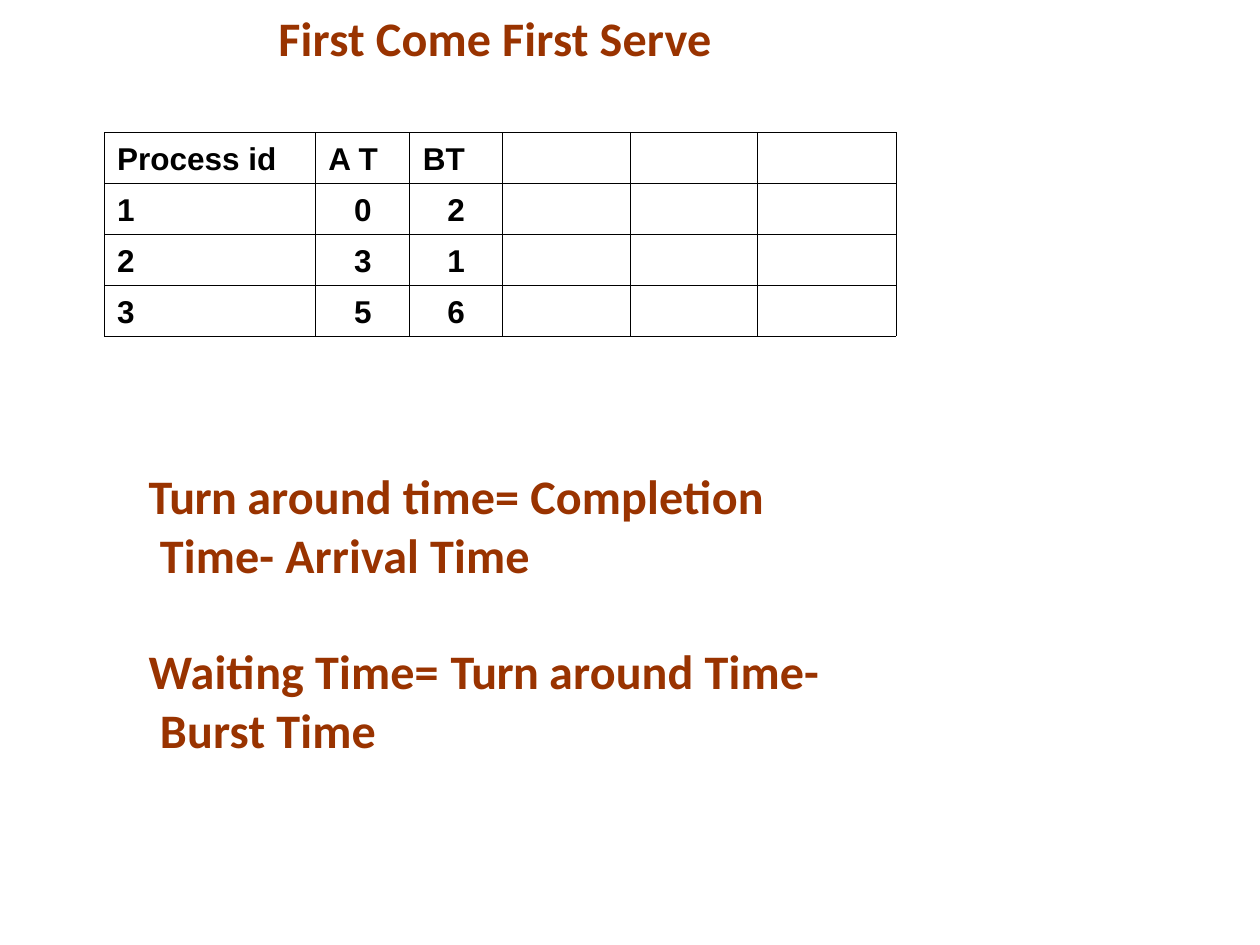
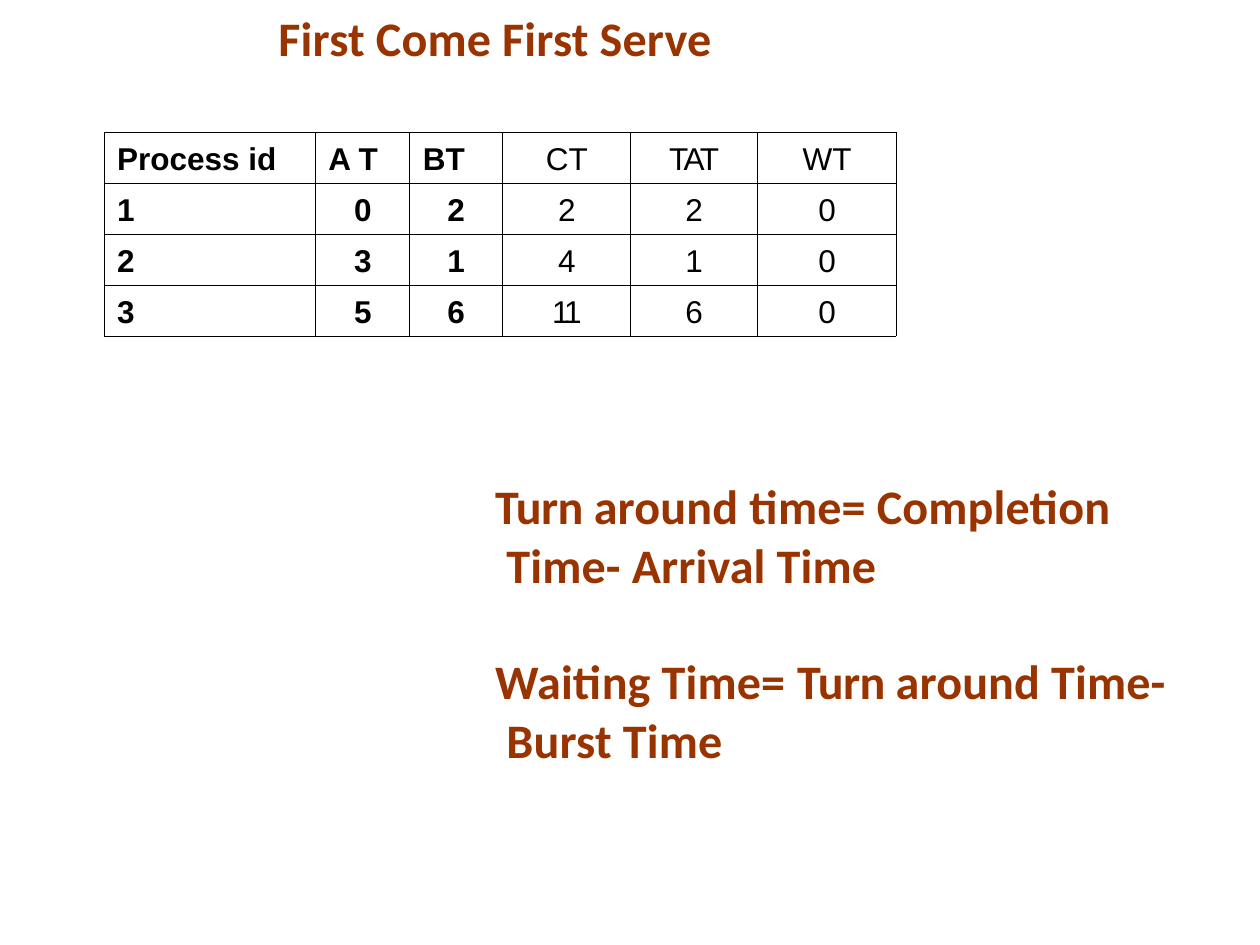
from dataclasses import dataclass

from lxml.etree import SubElement
from pptx import Presentation
from pptx.dml.color import RGBColor
from pptx.enum.text import MSO_ANCHOR, MSO_AUTO_SIZE, PP_ALIGN
from pptx.oxml.ns import qn
from pptx.util import Inches, Pt


@dataclass(frozen=True)
class Theme:
    accent: RGBColor = RGBColor(0x99, 0x33, 0x00)
    ink: RGBColor = RGBColor(0, 0, 0)
    page: RGBColor = RGBColor(0xFF, 0xFF, 0xFF)
    heading_font: str = "Calibri"
    table_font: str = "Arial"
    heading_size: float = 27.5
    table_size: float = 18
    border_width: float = 0.25

    def heading(self):
        return {"name": self.heading_font, "size": Pt(self.heading_size),
                "bold": True, "color": self.accent}

    def cell(self, bold):
        return {"name": self.table_font, "size": Pt(self.table_size),
                "bold": bold, "color": self.ink}


THEME = Theme()

# Boxes are left, top, width, height in inches
TITLE_BOX = (2.2, 0.03, 3.5, 0.49)
TABLE_BOX = (0.83, 1.05, 6.27, 1.62)
COLUMN_WIDTHS = (1.67, 0.75, 0.74, 1.01, 1.01, 1.1)
GIVEN_COLUMNS = 3

GIVEN = [("Process id", "A T", "BT"), ("1", "0", "2"), ("2", "3", "1"), ("3", "5", "6")]
SOLVED = [("CT", "TAT", "WT"), ("2", "2", "0"), ("4", "1", "0"), ("11", "6", "0")]
UNSOLVED = [("", "", "")] * len(GIVEN)
TIGHT_SPACING = {"TAT": -1.4, "11": -1.8}

# Each formula is a list of (text, letter spacing in points)
FORMULAS = [
    [("Turn ", -0.3), ("around time= Completion Time- Arrival Time", 0.1)],
    [("Waiting Time= ", 0.1), ("Turn ", -0.3), ("around Time- Burst Time", 0.1)],
]


def set_attributes(target, values):
    for name, value in values.items():
        setattr(target, name, value)


def add_run(paragraph, text, style, spacing=0):
    run = paragraph.add_run()
    run.text = text
    set_attributes(run.font, {key: style[key] for key in ("name", "size", "bold")})
    run.font.color.rgb = style["color"]
    if spacing:
        run._r.get_or_add_rPr().set("spc", str(round(spacing * 100)))


def set_frame(frame, left=0, top=0):
    set_attributes(frame, {
        "margin_left": Inches(left), "margin_top": Inches(top),
        "margin_right": 0, "margin_bottom": 0, "word_wrap": True,
        "auto_size": MSO_AUTO_SIZE.NONE, "vertical_anchor": MSO_ANCHOR.TOP,
    })


def add_title(slide, box, text):
    title = slide.shapes.title
    set_attributes(title, dict(zip(("left", "top", "width", "height"), map(Inches, box))))
    set_frame(title.text_frame, left=0.01, top=0.04)
    heading = title.text_frame.paragraphs[0]
    set_attributes(heading, {"alignment": PP_ALIGN.LEFT, "line_spacing": 1.0})
    add_run(heading, text, THEME.heading(), 0.1)


def add_borders(cell):
    properties = cell._tc.get_or_add_tcPr()
    for side in ("lnL", "lnR", "lnT", "lnB"):
        line = SubElement(properties, qn(f"a:{side}"), w=str(Pt(THEME.border_width)))
        fill = SubElement(line, qn("a:solidFill"))
        SubElement(fill, qn("a:srgbClr"), val=str(THEME.ink))


def format_cell(cell, text, column):
    add_borders(cell)
    cell.fill.background()
    given = column < GIVEN_COLUMNS
    if column == 0:
        alignment, left, right = PP_ALIGN.LEFT, 0.1, 0
    elif given:
        alignment, left, right = PP_ALIGN.RIGHT, 0, 0.25 if text == "A T" else 0.3
    else:
        alignment, left, right = PP_ALIGN.CENTER, 0.01, 0
    set_attributes(cell, {
        "margin_left": Inches(left), "margin_right": Inches(right),
        "margin_top": Inches(0.08), "margin_bottom": 0,
    })
    if text:
        entry = cell.text_frame.paragraphs[0]
        entry.alignment = alignment
        add_run(entry, text, THEME.cell(bold=given), TIGHT_SPACING.get(text, 0))


def add_schedule(slide, box, rows):
    schedule = slide.shapes.add_table(len(rows), len(COLUMN_WIDTHS), *map(Inches, box)).table
    set_attributes(schedule, {"first_row": False, "horz_banding": False})
    for column, width in zip(schedule.columns, COLUMN_WIDTHS):
        column.width = Inches(width)
    for row_index, row in enumerate(rows):
        schedule.rows[row_index].height = Inches(box[3] / len(rows))
        for column_index, text in enumerate(row):
            format_cell(schedule.cell(row_index, column_index), text, column_index)


def add_formulas(slide, box):
    frame = slide.shapes.add_textbox(*map(Inches, box)).text_frame
    set_frame(frame, top=0.02)
    for index, parts in enumerate(FORMULAS):
        formula = frame.add_paragraph() if index else frame.paragraphs[0]
        formula.line_spacing = 1.02
        if index:
            formula.space_before = Pt(33)
        # Hanging indent sets the wrapped line slightly in
        properties = formula._p.get_or_add_pPr()
        properties.set("marL", str(Inches(0.1)))
        properties.set("indent", str(Inches(-0.09)))
        for text, spacing in parts:
            add_run(formula, text, THEME.heading(), spacing)


def add_schedule_slide(presentation, results, formulas_box):
    slide = presentation.slides.add_slide(presentation.slide_layouts[5])
    slide.background.fill.solid()
    slide.background.fill.fore_color.rgb = THEME.page
    add_title(slide, TITLE_BOX, "First Come First Serve")
    add_schedule(slide, TABLE_BOX, [given + result for given, result in zip(GIVEN, results)])
    add_formulas(slide, formulas_box)


def main():
    presentation = Presentation()
    set_attributes(presentation, {"slide_width": Inches(10), "slide_height": Inches(7.5)})
    add_schedule_slide(presentation, UNSOLVED, (1.17, 3.67, 5.43, 2.36))
    add_schedule_slide(presentation, SOLVED, (3.92, 3.75, 5.43, 2.36))
    presentation.save("out.pptx")


if __name__ == "__main__":
    main()
